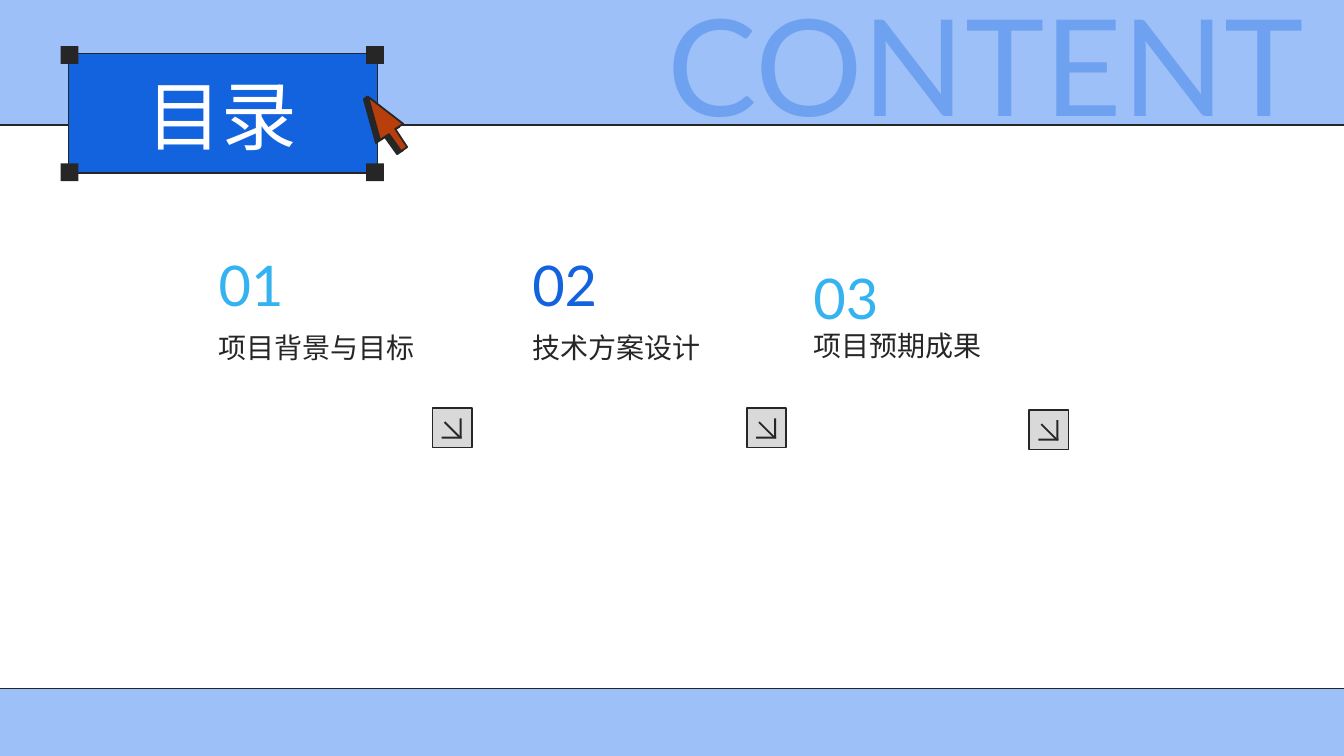
import pptx
import pptx.dml.color
import pptx.enum.shapes
import pptx.enum.text
import pptx.oxml
import pptx.oxml.ns
import pptx.util

Pt = pptx.util.Pt
RGBColor = pptx.dml.color.RGBColor
ANCHOR = pptx.enum.text.MSO_ANCHOR

INK = RGBColor(0x26, 0x26, 0x26)
BLUE = RGBColor(0x13, 0x63, 0xDF)
SKY = RGBColor(0x35, 0xB3, 0xF1)
BAND = RGBColor(0x9C, 0xC0, 0xF7)
GREY = RGBColor(0xD9, 0xD9, 0xD9)
ORANGE = RGBColor(0xB8, 0x3E, 0x0B)
WHITE = RGBColor(0xFF, 0xFF, 0xFF)
FONT = "Lato"

# Content: number, label, number colour, left, number top, label top, button left and top
TITLE = "目录"
BACKDROP_WORD = "CONTENT"
CHAPTERS = [
    ("01", "项目背景与目标", SKY, 156.2, 172.1, 236.2, 308.9, 291.6),
    ("02", "技术方案设计", BLUE, 380.2, 172.1, 236.2, 533.5, 291.6),
    ("03", "项目预期成果", SKY, 581, 181.4, 234.7, 735.1, 293),
]
BANDS = [(-7, 96.3), (491.8, 57.6)]  # top, height
HANDLE_LEFTS, HANDLE_TOPS, HANDLE_SIZE = (43.4, 261.6), (33, 116.8), 12.7
# Strokes of the button arrow: left, top, length, rotation
ARROW_STROKES = [(19.5, 7.2, 14.4, 0), (13, 13.8, 14.4, 90), (13.3, 7.7, 15.1, 315)]
BUTTON_SIZE, STROKE_WIDTH = 28.1, 1.4
CURSOR = [(260, 71.3), (285.2, 90.7), (279.4, 94.3), (288, 107.3),
          (283.7, 110.2), (275, 98), (268.6, 102.2)]
CURSOR_LAYERS = [(0, 0, INK), (2.9, -2.2, ORANGE)]  # shift x, shift y, fill


def paint(shape, fill, line_width=0):
    shape.shadow.inherit = False
    shape.fill.solid()
    shape.fill.fore_color.rgb = fill
    if line_width:
        shape.line.color.rgb = INK
        shape.line.width = Pt(line_width)
    else:
        shape.line.fill.background()


def add_box(shapes, left, top, width, height, fill, line_width=0, rotation=0):
    box = shapes.add_shape(pptx.enum.shapes.MSO_SHAPE.RECTANGLE,
                           Pt(left), Pt(top), Pt(width), Pt(height))
    box.rotation = rotation
    paint(box, fill, line_width)


def write(shape, text, size, color, anchor):
    frame = shape.text_frame
    frame.word_wrap = True
    frame.auto_size = pptx.enum.text.MSO_AUTO_SIZE.NONE
    frame.vertical_anchor = anchor
    frame.margin_left = frame.margin_right = frame.margin_top = frame.margin_bottom = 0
    paragraph = frame.paragraphs[0]
    paragraph.text = text
    paragraph.alignment = pptx.enum.text.PP_ALIGN.LEFT
    paragraph.font.name = FONT
    paragraph.font.size = Pt(size)
    paragraph.font.color.rgb = color
    return paragraph


def add_text(shapes, left, top, width, height, text, size, color, anchor):
    box = shapes.add_textbox(Pt(left), Pt(top), Pt(width), Pt(height))
    return write(box, text, size, color, anchor)


presentation = pptx.Presentation()
presentation.slide_width, presentation.slide_height = Pt(960), Pt(540)
slide = presentation.slides.add_slide(presentation.slide_layouts[5])
shapes = slide.shapes

# Bands at the top and bottom
for top, height in BANDS:
    add_box(shapes, -8, top, 984, height, BAND, 1)

# Title card with its selection handles
card = shapes.add_group_shape().shapes
add_box(card, 49, 38, 220.5, 85.7, BLUE, 1)
for top in HANDLE_TOPS:
    for left in HANDLE_LEFTS:
        add_box(card, left, top, HANDLE_SIZE, HANDLE_SIZE, INK)

title = shapes.title
title.left, title.top, title.width, title.height = Pt(104.4), Pt(44.6), Pt(127.4), Pt(69.8)
write(title, TITLE, 54, WHITE, ANCHOR.BOTTOM)
title.element.getparent().append(title.element)  # in front of the card

# Large translucent word
word = add_text(shapes, 476.6, -33.1, 528.5, 135.4, BACKDROP_WORD, 96, BLUE, ANCHOR.BOTTOM)
for color in word.font.fill.fore_color and word._p.iter(pptx.oxml.ns.qn("a:srgbClr")):
    alpha = pptx.oxml.parse_xml(f'<a:alpha {pptx.oxml.ns.nsdecls("a")} val="32000"/>')
    color.append(alpha)

# Mouse cursor: dark layer, joining edge, orange layer
cursor = shapes.add_group_shape().shapes
for shift_x, shift_y, fill in CURSOR_LAYERS:
    if fill == ORANGE:
        add_box(cursor, 270, 65.5, 3.6, 35.3, INK, rotation=321.5)
    points = [(Pt(x + shift_x), Pt(y + shift_y)) for x, y in CURSOR]
    builder = cursor.build_freeform(*points[0])
    builder.add_line_segments(points[1:], close=True)
    paint(builder.convert_to_shape(), fill, 1.25)

# Chapters, each with an arrow button
for number, label, color, left, number_top, label_top, button_left, button_top in CHAPTERS:
    add_text(shapes, left, number_top, 142.6, 54.7, number, 40, color, ANCHOR.BOTTOM)
    add_text(shapes, left, label_top, 182.9, 40.3, label, 20, INK, ANCHOR.TOP)
    button = shapes.add_group_shape().shapes
    add_box(button, button_left, button_top, BUTTON_SIZE, BUTTON_SIZE, GREY, 1.25)
    for x, y, length, rotation in ARROW_STROKES:
        add_box(button, button_left + x, button_top + y, STROKE_WIDTH, length, INK,
                rotation=rotation)

presentation.save("out.pptx")
